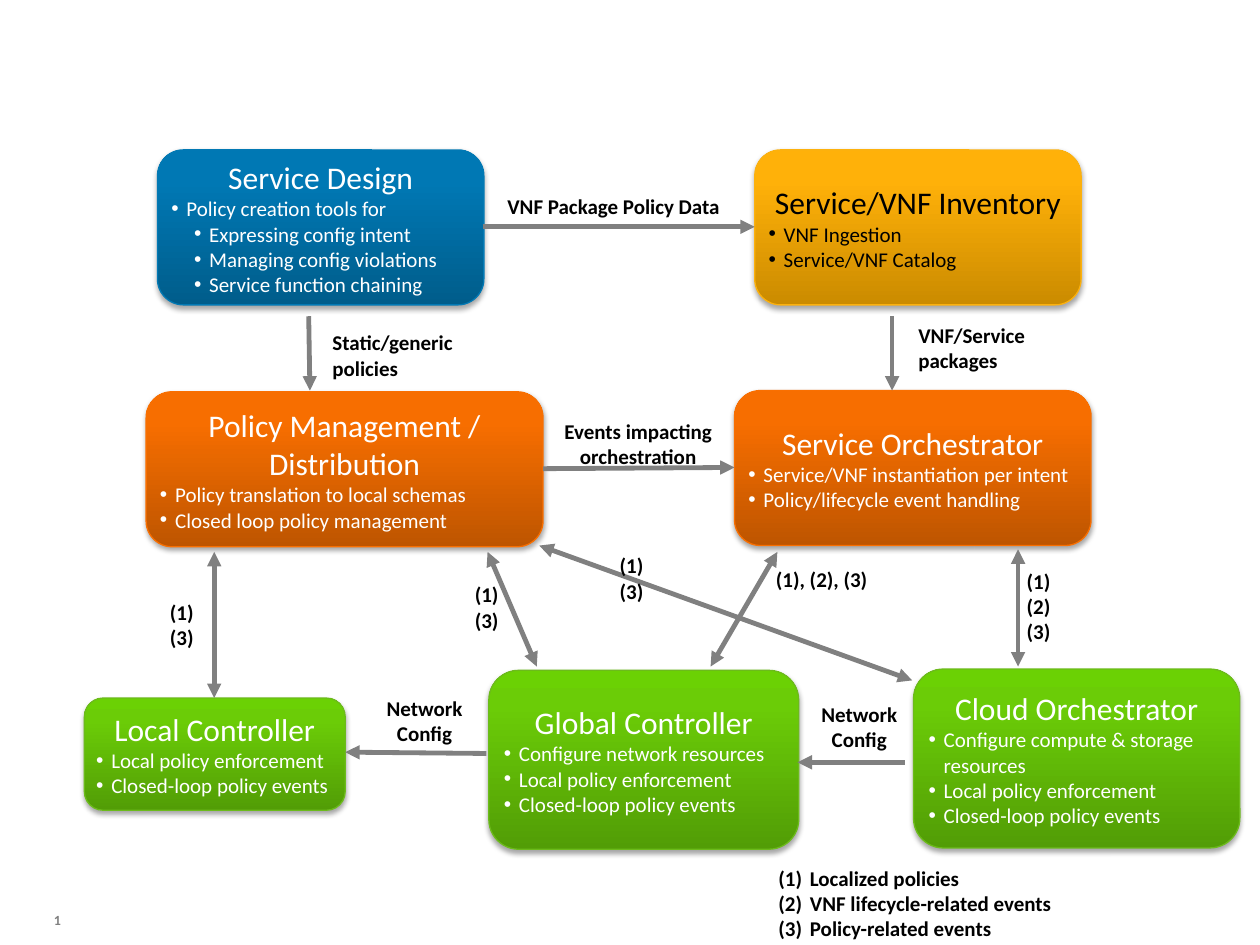
from lxml import etree
from pptx import Presentation
from pptx.dml.color import RGBColor
from pptx.enum.shapes import MSO_CONNECTOR, MSO_SHAPE
from pptx.enum.text import MSO_ANCHOR, MSO_AUTO_SIZE, PP_ALIGN
from pptx.oxml.ns import qn
from pptx.util import Inches, Pt

LEFT, CENTER = PP_ALIGN.LEFT, PP_ALIGN.CENTER
MIDDLE, GROW = MSO_ANCHOR.MIDDLE, MSO_AUTO_SIZE.SHAPE_TO_FIT_TEXT
ROUNDED, STRAIGHT = MSO_SHAPE.ROUNDED_RECTANGLE, MSO_CONNECTOR.STRAIGHT
BLACK, WHITE, GRAY = "000000", "FFFFFF", "808080"
DOT = ("a:buChar", {"char": "•"})
NUMBER = ("a:buAutoNum", {"type": "arabicParenBoth"})

# Gradient from bottom to top, then the outline
GREEN = ("529D06", "6BCC07", "6BD104", "6CBB1B")
ORANGE = ("BE5500", "F76E00", "F86F00", "F96F00")
BLUE = ("005D8B", "0078B4", "0079B5", "0279B4")
YELLOW = ("CB8B00", "FFB109", "FFB20A", "FCB10E")


def add_node(parent, tag, **attributes):
    node = etree.SubElement(parent, qn(tag))
    for name, value in attributes.items():
        node.set(name, str(value))
    return node


def write(frame, text, size=12, color=BLACK, bold=False, align=LEFT,
          bullet=None, margin=0.12, hanging=0.12, level=0):
    """Fill the empty first paragraph, or add another one."""
    para = frame.paragraphs[0]
    if para.runs:
        para = frame.add_paragraph()
    para.alignment, para.level = align, level
    if bullet:
        properties = para._p.get_or_add_pPr()
        properties.set("marL", str(Inches(margin)))
        properties.set("indent", str(-Inches(hanging)))
        if bullet is DOT:
            add_node(properties, "a:buFont", typeface="Arial")
        add_node(properties, bullet[0], **bullet[1])
    span = para.add_run()
    span.text = text
    span.font.name, span.font.size, span.font.bold = "Calibri", Pt(size), bold
    span.font.color.rgb = RGBColor.from_string(color)
    return span


deck = Presentation()
deck.slide_width, deck.slide_height = Inches(10), Inches(7.5)
page = deck.slides.add_slide(deck.slide_layouts[6])

# Component boxes: place, palette, text colour, heading, (level, bullet text)
LOCAL, CLOSED = (0, "Local policy enforcement"), (0, "Closed-loop policy events")
components = [
    ((1.25, 1.19, 2.59, 1.23), BLUE, WHITE, "Service Design",
     [(0, "Policy creation tools for"), (1, "Expressing config intent"),
      (1, "Managing config violations"), (1, "Service function chaining")]),
    ((5.99, 1.19, 2.59, 1.23), YELLOW, BLACK, "Service/VNF Inventory",
     [(0, "VNF Ingestion"), (0, "Service/VNF Catalog")]),
    ((1.16, 3.11, 3.15, 1.23), ORANGE, WHITE, "Policy Management / Distribution",
     [(0, "Policy translation to local schemas"),
      (0, "Closed loop policy management")]),
    ((5.83, 3.1, 2.83, 1.23), ORANGE, WHITE, "Service Orchestrator",
     [(0, "Service/VNF instantiation per intent"),
      (0, "Policy/lifecycle event handling")]),
    ((0.67, 5.54, 2.07, 0.89), GREEN, WHITE, "Local Controller", [LOCAL, CLOSED]),
    ((3.88, 5.32, 2.46, 1.42), GREEN, WHITE, "Global Controller",
     [(0, "Configure network resources"), LOCAL, CLOSED]),
    ((7.25, 5.31, 2.59, 1.42), GREEN, WHITE, "Cloud Orchestrator",
     [(0, "Configure compute & storage resources"), LOCAL, CLOSED]),
]
for place, palette, color, heading, points in components:
    box = page.shapes.add_shape(ROUNDED, *map(Inches, place))
    box.line.color.rgb = RGBColor.from_string(palette[3])
    box.line.width = Pt(0.75)

    # Three-stop vertical gradient
    box.fill.gradient()
    gradient = box._element.spPr.find(qn("a:gradFill"))
    for child in list(gradient):
        gradient.remove(child)
    stops = add_node(gradient, "a:gsLst")
    for share, tone in zip((0, 80, 100), palette):
        stop = add_node(stops, "a:gs", pos=share * 1000)
        add_node(stop, "a:srgbClr", val=tone)
    add_node(gradient, "a:lin", ang=270 * 60000, scaled=0)

    # Soft shadow below
    box.shadow.inherit = False
    effects = box._element.spPr.find(qn("a:effectLst"))
    shadow = add_node(effects, "a:outerShdw", blurRad=Pt(3.1), dist=Pt(1.8),
                      dir=90 * 60000, rotWithShape=0)
    add_node(add_node(shadow, "a:srgbClr", val=BLACK), "a:alpha", val=35000)

    frame = box.text_frame
    frame.word_wrap, frame.vertical_anchor = True, MIDDLE
    frame.margin_left = frame.margin_right = Inches(0.05)
    frame.margin_top = frame.margin_bottom = Inches(0.05)
    write(frame, heading, size=18, color=color, align=CENTER)
    for level, point in points:
        write(frame, point, color=color, bullet=DOT, level=level,
              margin=0.12 + 0.18 * level)

# Arrows: start, end, whether both ends have a head
arrows = [
    ((3.83, 1.8), (5.99, 1.8), False),
    ((2.45, 2.51), (2.46, 3.1), False),
    ((7.08, 2.51), (7.08, 3.1), False),
    ((4.31, 3.72), (5.83, 3.71), False),
    ((3.86, 5.98), (2.74, 5.97), False),
    ((7.18, 6.05), (6.33, 6.05), False),
    ((1.7, 4.38), (1.7, 5.54), True),
    ((3.87, 4.38), (4.26, 5.29), True),
    ((4.28, 4.33), (7.24, 5.4), True),
    ((6.17, 4.38), (5.64, 5.29), True),
    ((8.08, 4.36), (8.08, 5.29), True),
]
for start, end, double in arrows:
    arrow = page.shapes.add_connector(STRAIGHT, *map(Inches, start + end))
    arrow.line.color.rgb = RGBColor.from_string(GRAY)
    arrow.line.width = Pt(2.75)
    outline = arrow.line._get_or_add_ln()
    if double:
        add_node(outline, "a:headEnd", type="triangle")
    add_node(outline, "a:tailEnd", type="triangle")
    add_node(arrow._element.spPr, "a:effectLst")

# Arrow labels and the numbered legend
labels = [
    ((3.86, 1.49, 2.02, 0.3), CENTER, None, ["VNF Package Policy Data"]),
    ((2.54, 2.57, 1.26, 0.5), LEFT, None, ["Static/generic policies"]),
    ((7.19, 2.51, 1.26, 0.5), LEFT, None, ["VNF/Service packages"]),
    ((4.31, 3.27, 1.51, 0.5), CENTER, None, ["Events impacting orchestration"]),
    ((2.94, 5.47, 0.86, 0.5), CENTER, None, ["Network Config"]),
    ((6.39, 5.52, 0.86, 0.5), CENTER, None, ["Network Config"]),
    ((1.25, 4.71, 0.45, 0.5), LEFT, None, ["(1)", "(3)"]),
    ((3.67, 4.57, 0.45, 0.5), LEFT, None, ["(1)", "(3)"]),
    ((4.82, 4.34, 0.45, 0.5), LEFT, None, ["(1)", "(3)"]),
    ((6.06, 4.45, 1.11, 0.3), LEFT, None, ["(1), (2), (3)"]),
    ((8.05, 4.46, 0.45, 0.71), LEFT, None, ["(1)", "(2)", "(3)"]),
    ((6.08, 6.82, 2.5, 0.71), LEFT, NUMBER,
     ["Localized policies", "VNF lifecycle-related events",
      "Policy-related events"]),
]
for place, align, bullet, lines in labels:
    frame = page.shapes.add_textbox(*map(Inches, place)).text_frame
    frame.word_wrap, frame.auto_size = True, GROW
    for line in lines:
        write(frame, line, bold=True, align=align, bullet=bullet,
              margin=0.25, hanging=0.25)

# Slide number as a live field
frame = page.shapes.add_textbox(*map(Inches, (0.33, 7.1, 0.37, 0.4))).text_frame
frame.word_wrap, frame.vertical_anchor = True, MIDDLE
number = write(frame, "1", size=8, color=GRAY, bold=True)._r
field = etree.Element(qn("a:fld"), type="slidenum",
                      id="{B6F15528-21DE-4FAA-801E-634DDDAF4B2B}")
number.getparent().replace(number, field)
field.extend(list(number))

deck.save("out.pptx")
